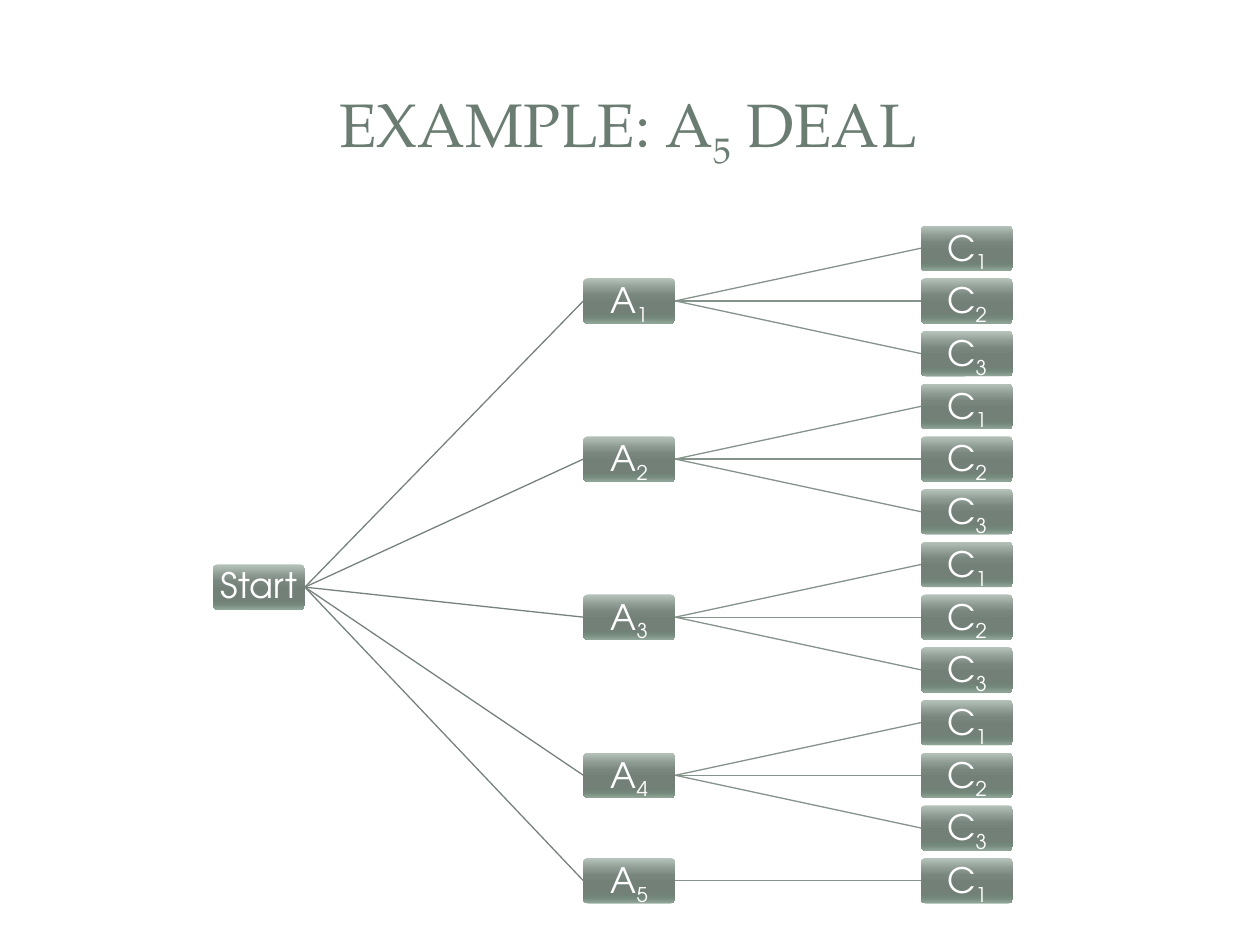
"""Build a slide with a tree of the possible outcomes of a deal."""
from dataclasses import dataclass

from lxml import etree
from pptx import Presentation
from pptx.dml.color import RGBColor
from pptx.enum import shapes, text
from pptx.oxml import ns
from pptx.util import Inches, Pt

TITLE_COLOR = RGBColor(0x6B, 0x7D, 0x72)
LABEL_COLOR = RGBColor(0xFF, 0xFF, 0xFF)
ANSWER_LINE = RGBColor(0x76, 0x82, 0x7B)
CHOICE_LINE = RGBColor(0x85, 0x93, 0x8B)
NODE_GRADIENT = (
    (0, RGBColor(0xB6, 0xC3, 0xBB)),
    (25, RGBColor(0x8B, 0x98, 0x90)),
    (38, RGBColor(0x79, 0x86, 0x7E)),
    (55, RGBColor(0x72, 0x80, 0x78)),
    (80, RGBColor(0x70, 0x81, 0x76)),
    (88, RGBColor(0x75, 0x88, 0x7C)),
    (100, RGBColor(0x91, 0xA7, 0x9A)),
)
TITLE_FONT, NODE_FONT = "TeX Gyre Pagella", "TeX Gyre Adventor"
NODE_WIDTH, NODE_HEIGHT = 0.73, 0.36
START_LEFT, ANSWER_LEFT, CHOICE_LEFT = 1.69, 4.63, 7.31
START_TOP, FIRST_TOP, LAST_TOP = 4.48, 1.79, 6.81
CHOICE_COUNTS = (3, 3, 3, 3, 1)
RIGHT_SIDE, LEFT_SIDE = 3, 1


@dataclass
class Node:
    label: str
    left: float
    top: float
    subscript: str = ""


def add_label(paragraph, label: str, subscript: str = "", ending: str = "") -> None:
    for part, baseline in ((label, None), (subscript, "-25000"), (ending, None)):
        if part:
            run = paragraph.add_run()
            run.text = part
            if baseline:
                run._r.get_or_add_rPr().set("baseline", baseline)


def fill_gradient(fill) -> None:
    fill.gradient()
    fill.gradient_angle = 270
    stops = fill._xPr.find(".//" + ns.qn("a:gsLst"))
    for stop in list(stops):
        stops.remove(stop)
    for position, color in NODE_GRADIENT:
        stop = etree.SubElement(stops, ns.qn("a:gs"), pos=str(position * 1000))
        etree.SubElement(stop, ns.qn("a:srgbClr"), val=str(color))


def draw_node(slide, node: Node):
    box = slide.shapes.add_shape(
        shapes.MSO_SHAPE.ROUNDED_RECTANGLE, Inches(node.left), Inches(node.top),
        Inches(NODE_WIDTH), Inches(NODE_HEIGHT))
    box.adjustments[0] = 0.1
    box.shadow.inherit = False
    box.line.fill.background()
    fill_gradient(box.fill)
    frame = box.text_frame
    frame.margin_left = frame.margin_right = Inches(0.01)
    frame.margin_top = frame.margin_bottom = Inches(0.01)
    frame.vertical_anchor = text.MSO_ANCHOR.MIDDLE
    paragraph = frame.paragraphs[0]
    add_label(paragraph, node.label, node.subscript)
    paragraph.alignment = text.PP_ALIGN.CENTER
    paragraph.line_spacing = 0.9
    paragraph.font.name = NODE_FONT
    paragraph.font.size = Pt(20)
    paragraph.font.color.rgb = LABEL_COLOR
    return box


def draw_branch(slide, parent, child, color: RGBColor) -> None:
    branch = slide.shapes.add_connector(shapes.MSO_CONNECTOR.STRAIGHT, 0, 0, 0, 0)
    branch.begin_connect(parent, RIGHT_SIDE)
    branch.end_connect(child, LEFT_SIDE)
    branch.line.color.rgb = color
    branch.line.width = Pt(0.75)
    etree.SubElement(branch._element.spPr, ns.qn("a:effectLst"))


def draw_title(slide) -> None:
    title = slide.shapes.title
    title.left, title.top = Inches(0.47), Inches(0.45)
    title.width, title.height = Inches(9.03), Inches(1.14)
    title.text_frame.vertical_anchor = text.MSO_ANCHOR.MIDDLE
    heading = title.text_frame.paragraphs[0]
    add_label(heading, "EXAMPLE: A", "5", " DEAL")
    heading.alignment = text.PP_ALIGN.CENTER
    heading.font.name = TITLE_FONT
    heading.font.size = Pt(35)
    heading.font.color.rgb = TITLE_COLOR


def draw_tree(slide) -> None:
    start = draw_node(slide, Node("Start", START_LEFT, START_TOP))
    pitch = (LAST_TOP - FIRST_TOP) / (sum(CHOICE_COUNTS) - 1)
    row = 0
    for answer_number, count in enumerate(CHOICE_COUNTS, 1):
        answer_top = FIRST_TOP + pitch * (row + (count - 1) / 2)
        answer = draw_node(slide, Node("A", ANSWER_LEFT, answer_top, str(answer_number)))
        draw_branch(slide, start, answer, ANSWER_LINE)
        for choice_number in range(1, count + 1):
            choice_top = FIRST_TOP + pitch * row
            choice = draw_node(slide, Node("C", CHOICE_LEFT, choice_top, str(choice_number)))
            draw_branch(slide, answer, choice, CHOICE_LINE)
            row += 1


def main() -> None:
    deck = Presentation()
    deck.slide_width, deck.slide_height = Inches(10), Inches(7.5)
    slide = deck.slides.add_slide(deck.slide_layouts[5])
    draw_title(slide)
    draw_tree(slide)
    deck.save("out.pptx")


if __name__ == "__main__":
    main()
